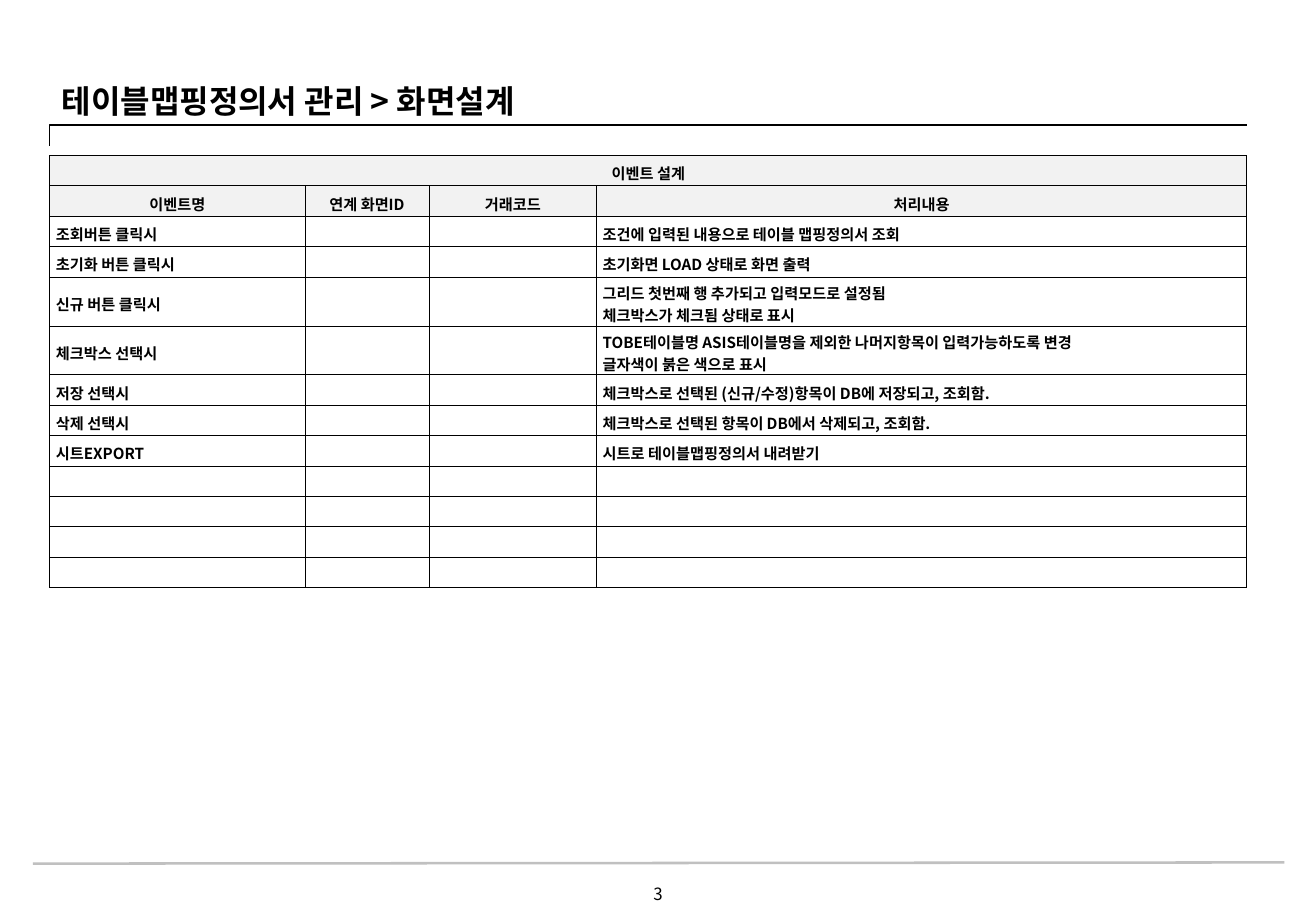
"""Build the event design slide with its title, rules, table and page number."""
from lxml import etree
from pptx import Presentation
from pptx.dml.color import RGBColor
from pptx.enum.shapes import MSO_CONNECTOR
from pptx.enum.text import MSO_ANCHOR, PP_ALIGN
from pptx.oxml.ns import qn
from pptx.util import Inches, Pt

STRAIGHT, ELBOW = MSO_CONNECTOR.STRAIGHT, MSO_CONNECTOR.ELBOW
MIDDLE = MSO_ANCHOR.MIDDLE
LEFT, CENTER = PP_ALIGN.LEFT, PP_ALIGN.CENTER
FONT = "Noto Sans CJK KR"
COLORS = {"ink": "000000", "head": "F2F2F2", "body": "FFFFFF", "rule": "C0C0C0"}
W, H = 10.83, 7.5
MARGIN = 0.41
COLS = [2.1, 1.02, 1.38, 5.35]
ROW, TALL_ROW = 0.25, 0.4
ROWS = [
    ["이벤트 설계", "", "", ""],
    ["이벤트명", "연계 화면ID", "거래코드", "처리내용"],
    ["조회버튼 클릭시", "", "", "조건에 입력된 내용으로 테이블 맵핑정의서 조회"],
    ["초기화 버튼 클릭시", "", "", "초기화면 LOAD 상태로 화면 출력"],
    ["신규 버튼 클릭시", "", "",
     "그리드 첫번째 행 추가되고 입력모드로 설정됨\n체크박스가 체크됨 상태로 표시"],
    ["체크박스 선택시", "", "",
     "TOBE테이블명 ASIS테이블명을 제외한 나머지항목이 입력가능하도록 변경\n"
     "글자색이 붉은 색으로 표시"],
    ["저장 선택시", "", "", "체크박스로 선택된 (신규/수정)항목이 DB에 저장되고, 조회함."],
    ["삭제 선택시", "", "", "체크박스로 선택된 항목이 DB에서 삭제되고, 조회함."],
    ["시트EXPORT", "", "", "시트로 테이블맵핑정의서 내려받기"],
] + [[""] * 4] * 4


def style_text(tf, size, bold, align):
    for p in tf.paragraphs:
        p.alignment = align
        for r in p.runs:
            r.font.size, r.font.bold, r.font.name = Pt(size), bold, FONT
            r.font.color.rgb = RGBColor.from_string(COLORS["ink"])
            etree.SubElement(r.font._element, qn("a:ea"), typeface=FONT)
        if not p.runs:
            etree.SubElement(p._p, qn("a:endParaRPr"), sz=str(size * 100))


prs = Presentation()
prs.slide_width, prs.slide_height = Inches(W), Inches(H)
s = prs.slides.add_slide(prs.slide_layouts[5])

title = s.shapes.title
title.left, title.top = Inches(MARGIN), Inches(0.62)
title.width, title.height = Inches(4.39), Inches(0.41)
tf = title.text_frame
tf.text = "테이블맵핑정의서 관리 > 화면설계"
tf.word_wrap, tf.vertical_anchor = False, MIDDLE
style_text(tf, 19, True, LEFT)

rules = [
    (STRAIGHT, 0.27, 7.11, 10.57, 7.1, "rule", 1.5),
    (ELBOW, MARGIN, 1.2, MARGIN + sum(COLS), 1.03, "ink", 0.75),
]
for kind, x1, y1, x2, y2, color, width in rules:
    line = s.shapes.add_connector(kind, Inches(x1), Inches(y1), Inches(x2), Inches(y2))
    line.line.color.rgb = RGBColor.from_string(COLORS[color])
    line.line.width = Pt(width)
    sp_pr = line._element.spPr
    etree.SubElement(sp_pr, qn("a:effectLst"))
    if kind == ELBOW:
        guides = sp_pr.find(qn("a:prstGeom")).find(qn("a:avLst"))
        etree.SubElement(guides, qn("a:gd"), name="adj1", fmla="val 0")

heights = [TALL_ROW if "\n" in row[-1] else ROW for row in ROWS]
table = s.shapes.add_table(len(ROWS), len(COLS), Inches(MARGIN), Inches(1.28),
                           Inches(sum(COLS)), Inches(sum(heights))).table
table.first_row = table.horz_banding = False
for col, width in zip(table.columns, COLS):
    col.width = Inches(width)
for i, (row, height) in enumerate(zip(ROWS, heights)):
    table.rows[i].height = Inches(height)
    for j, text in enumerate(row):
        cell = table.cell(i, j)
        cell.text_frame.text = text
        cell.vertical_anchor = MIDDLE
        cell.margin_left = cell.margin_right = Inches(0.05)
        cell.margin_top, cell.margin_bottom = Inches(0.04), 0
        style_text(cell.text_frame, 9, True, CENTER if i < 2 else LEFT)
        tc_pr = cell._tc.get_or_add_tcPr()
        for side in ("a:lnL", "a:lnR", "a:lnT", "a:lnB"):
            ln = etree.SubElement(tc_pr, qn(side), w=str(Pt(0.5)))
            fill = etree.SubElement(ln, qn("a:solidFill"))
            etree.SubElement(fill, qn("a:srgbClr"), val=COLORS["ink"])
        cell.fill.solid()
        cell.fill.fore_color.rgb = RGBColor.from_string(COLORS["head" if i < 2 else "body"])
table.cell(0, 0).merge(table.cell(0, len(COLS) - 1))

number = s.shapes.add_textbox(Inches(W / 2 - 0.2), Inches(7.22), Inches(0.4), Inches(0.27))
tf = number.text_frame
tf.text = "3"
tf.word_wrap, tf.vertical_anchor = True, MIDDLE
style_text(tf, 10, False, CENTER)

prs.save("out.pptx")
